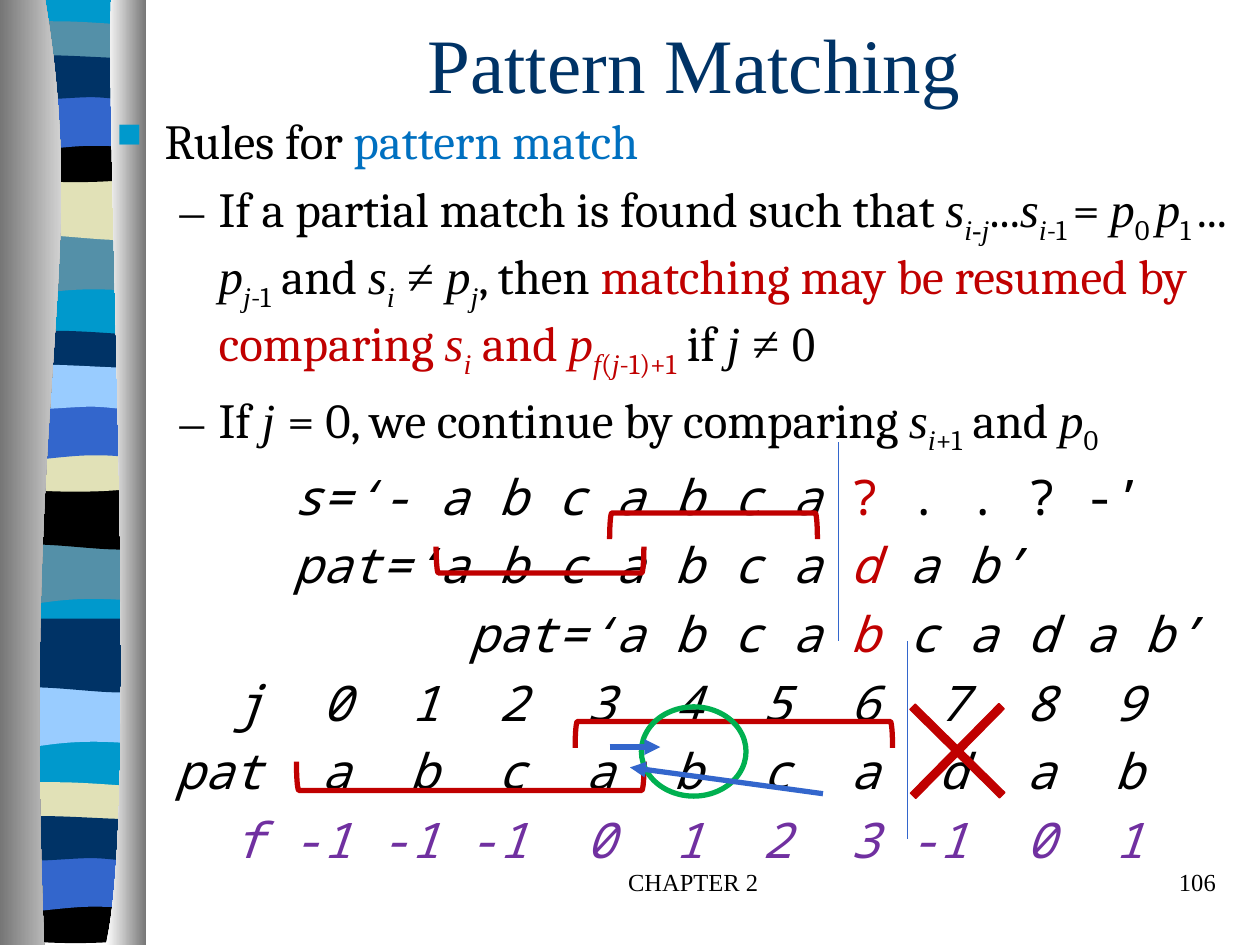
from lxml import etree
from pptx import Presentation
from pptx.dml.color import RGBColor
from pptx.enum.shapes import MSO_CONNECTOR, MSO_SHAPE
from pptx.enum.text import MSO_ANCHOR, PP_ALIGN
from pptx.oxml.ns import qn
from pptx.util import Cm, Pt

STRAIGHT = MSO_CONNECTOR.STRAIGHT
BRACKET, CROSS, OVAL = MSO_SHAPE.RIGHT_BRACKET, MSO_SHAPE.CROSS, MSO_SHAPE.OVAL
LEFT, CENTER, RIGHT = PP_ALIGN.LEFT, PP_ALIGN.CENTER, PP_ALIGN.RIGHT
TOP, MIDDLE = MSO_ANCHOR.TOP, MSO_ANCHOR.MIDDLE
SERIF, TIMES, MONO = "Cambria", "Times New Roman", "Noto Sans Mono"
COLORS = {name: RGBColor.from_string(value) for name, value in {
    "black": "000000", "white": "FFFFFF", "gray": "767676", "navy": "003366",
    "cyan": "0099CC", "steel": "5490A8", "sand": "E1E1B7", "blue": "3366CC",
    "sky": "99CCFF", "link": "0070C0", "red": "C00000", "violet": "7030A0",
    "green": "00B050"}.items()}
FLAG_COLORS = {"r": "red", "b": "link", "v": "violet"}


def outline(*edges, dy=0):
    """Add a closed freeform from edges in cm: two points are a straight edge,
    four or seven are chained cubic Beziers."""
    emu = [(Cm(x), Cm(y + dy)) for edge in edges for x, y in edge]
    builder = s.shapes.build_freeform(*emu[0], scale=1.0)
    builder.add_line_segments(emu[1:], close=True)
    sp = builder.convert_to_shape()
    sp.shadow.inherit = False
    sp.line.fill.background()
    steps = list(next(sp._element.iter(qn("a:path"))))
    first = 0
    for edge in edges:
        if len(edge) > 2:
            for k in range(first + 1, first + len(edge), 3):
                bezier = etree.Element(qn("a:cubicBezTo"))
                steps[k].addprevious(bezier)
                for step in steps[k:k + 3]:
                    bezier.append(step[0])
                    step.getparent().remove(step)
        first += len(edge)
    return sp


prs = Presentation()
prs.slide_width, prs.slide_height = Cm(25.4), Cm(19.05)
s = prs.slides.add_slide(prs.slide_layouts[6])

# Wavy ribbon: every band is repeated three times down the slide
L, R = 0.14, 2.88
flat = [(L, 0), (R, 0)]
sp = outline(flat, [(R, 18.98), (L, 18.98)])
sp.fill.solid()
sp.fill.fore_color.rgb = COLORS["cyan"]
UPPER, LOWER = (0, 6.24, 9.12), (0, 6.24, 15.34)
# top, offsets, colours, upper edge (left to right), lower edge (right to left)
bands = [
    (4.7, UPPER, ("steel", "steel", "sky"), flat,
     [(R, 1.19), (0.99, 0.99), (0.61, 1.4), (L, 1.19)]),
    (3.58, UPPER, ("sand", "black", "navy"), [(L, -0.23), (R, -0.23)],
     [(R, 1.19), (2.44, 1.4), (0.99, 1.05), (L, 1.19)]),
    (0.53, LOWER, ("steel", "navy", "sand"),
     [(L, 0), (0.3, -0.13), (0.74, -0.1), (1.19, -0.1), (1.65, -0.1), (2.54, -0.03), (R, 0)],
     [(R, 0.62), (2.44, 0.73), (0.61, 0.73), (L, 0.62)]),
    (2.74, LOWER, ("black", "sand", "black"),
     [(L, 0), (1.83, 0.13), (2.31, 0), (R, 0)],
     [(R, 0.82), (2.44, 0.97), (0.61, 0.97), (L, 0.82)]),
    (1.88, LOWER, ("blue", "blue", "blue"), flat,
     [(R, 1.19), (2.46, 1.06), (2.29, 1.06), (1.83, 1.06), (1.37, 1.06), (0.56, 1.19), (L, 1.19)]),
    (1.17, LOWER, ("navy", "sky", "navy"),
     [(L, 0), (0.53, -0.13), (2.01, 0), (2.46, 0), (2.92, 0), (2.79, 0), (R, 0)],
     [(R, 0.79), (2.7, 0.91), (2.29, 0.79), (1.83, 0.79), (1.37, 0.79), (0.43, 0.91), (L, 0.79)]),
]
for group in range(3):
    for top, offsets, names, upper, lower in bands:
        y = top + offsets[group]
        if y + 0.97 > 19.05:
            lower = [(R, 0.94), (L, 0.94)]
        sp = outline(upper, lower, dy=y)
        sp.fill.solid()
        sp.fill.fore_color.rgb = COLORS[names[group]]

pillars = [
    ([(0.91, 0), (1.83, 5.49), (0.43, 7.52), (0.89, 19.05)], 0, ("gray", "white")),
    ([(2.24, 0), (2.13, 3.18), (2.82, 16.41), (2.13, 19.05)], 2.95, ("white", "gray")),
]
for edge, side, names in pillars:
    sp = outline(edge, [(side, 19.05), (side, 0)])
    sp.fill.gradient()
    sp.fill.gradient_angle = 0
    for stop, name in zip(sp.fill.gradient_stops, names):
        stop.color.rgb = COLORS[name]

# Title, footer and page number
for text, x, y, w, h, size, color, align, anchor in [
        ("CHAPTER 2", 9.95, 17.35, 8.05, 1.27, 14, "black", CENTER, TOP),
        ("106", 19.48, 17.35, 5.28, 1.27, 14, "black", RIGHT, TOP),
        ("Pattern Matching", 3.2, -0.32, 21.59, 3.18, 44, "navy", CENTER, MIDDLE)]:
    tf = s.shapes.add_textbox(Cm(x), Cm(y), Cm(w), Cm(h)).text_frame
    tf.word_wrap, tf.vertical_anchor = True, anchor
    p = tf.paragraphs[0]
    p.alignment = align
    r = p.add_run()
    r.text = text
    r.font.size, r.font.name, r.font.color.rgb = Pt(size), TIMES, COLORS[color]

# Body. Run flags: t Times, m mono, i italic, _ subscript, r/b/v colour
square = [("buClr", {}), ("buSzPct", {"val": "70000"}),
          ("buFont", {"typeface": "Wingdings"}), ("buChar", {"char": "n"})]
dash = [("buFont", {"typeface": TIMES}), ("buChar", {"char": "–"})]
plain = [("buNone", {})]
# level, left margin, first-line indent, bullet, runs
body = [
    (0, 0.97, -0.97, square, [("Rules for ", ""), ("pattern match", "b")]),
    (1, 2.06, -0.79, dash, [
        ("If a partial match is found such that ", ""), ("s", "ti"), ("i-j", "ti_"),
        ("...", ""), ("s", "ti"), ("i", "ti_"), ("-1 ", "_"), ("= ", ""),
        ("p", "ti"), ("0 ", "_"), ("p", "ti"), ("1 ", "_"), ("... ", ""),
        ("p", "ti"), ("j", "ti_"), ("-1", "_"), (" and ", ""), ("s", "ti"),
        ("i", "ti_"), (" ≠ ", "t"), ("p", "ti"), ("j", "ti_"), (", then ", ""),
        ("matching may be resumed by comparing ", "r"), ("s", "tir"), ("i", "ti_r"),
        (" and ", "r"), ("p", "tir"), ("f", "ti_r"), ("(", "_r"), ("j", "ti_r"),
        ("-1)+1", "_r"), (" if ", ""), ("j", "ti"), (" ≠ 0", "t")]),
    (1, 2.06, -0.79, dash, [
        ("If ", ""), ("j ", "ti"), ("= 0, we continue by comparing ", ""),
        ("s", "ti"), ("i", "ti_"), ("+1", "_"), (" and ", ""), ("p", "ti"), ("0", "_")]),
    (0, 3.56, 0, plain, [("s=‘- a b c a b c a ", "mi"), ("?", "mr"), (" . . ? -’", "m")]),
    (0, 3.56, 0, plain, [("pat=‘a b c a b c a ", "mi"), ("d", "mir"), (" a b’", "mi")]),
    (0, 7.11, 0, plain, [("pat=‘a b c a ", "mi"), ("b", "mir"), (" c a d a b’", "mi")]),
]
# Failure function trace: monospaced columns three characters wide
f_values = "-1 -1 -1 0 1 2 3 -1 0 1".split()
for label, margin, cells, flags in [("j", 2.37, "0123456789", "mi"),
                                    ("pat", 1.18, "abcabcadab", "mi"),
                                    ("f", 2.37, f_values, "miv")]:
    row = label + "".join(f"{cell:>3}" for cell in cells)
    body.append((0, margin, 0, plain, [(row, flags)]))

tf = s.shapes.add_textbox(Cm(2.1), Cm(2.1), Cm(24), Cm(15.44)).text_frame
tf.word_wrap = True
for n, (level, margin, indent, bullet, runs) in enumerate(body):
    p = tf.add_paragraph() if n else tf.paragraphs[0]
    p.level, p.alignment = level, LEFT
    pPr = p._p.get_or_add_pPr()
    pPr.set("marL", str(Cm(margin)))
    pPr.set("indent", str(Cm(indent)))
    for tag, attributes in bullet:
        el = etree.SubElement(pPr, qn("a:" + tag), attributes)
        if tag == "buClr":
            etree.SubElement(el, qn("a:srgbClr"), val=str(COLORS["cyan"]))
    if n:
        p.space_before = Pt(5.6)
    for text, flags in runs:
        r = p.add_run()
        r.text = text
        r.font.size = Pt(28)
        r.font.name = TIMES if "t" in flags else MONO if "m" in flags else SERIF
        r.font.italic = "i" in flags
        color = next((FLAG_COLORS[c] for c in flags if c in FLAG_COLORS), "black")
        r.font.color.rgb = COLORS[color]
        if "_" in flags:
            r._r.get_or_add_rPr().set("baseline", "-25000")

# Match brackets, mismatch cross and highlight ring
for kind, x, y, w, h, turn, color, width in [
        (BRACKET, 10.62, 9.19, 0.53, 4.19, 90, "red", 3),
        (BRACKET, 14.12, 8.51, 0.53, 4.19, 270, "red", 3),
        (BRACKET, 9.19, 12.14, 0.58, 7.01, 90, "red", 3),
        (BRACKET, 14.53, 11.61, 0.53, 6.4, 270, "red", 3),
        (CROSS, 18.03, 13.87, 2.54, 2.54, 44.6, "red", 0.75),
        (OVAL, 12.93, 14.25, 2.11, 1.8, 0, "green", 3)]:
    sp = s.shapes.add_shape(kind, Cm(x), Cm(y), Cm(w), Cm(h))
    sp.shadow.inherit = False
    sp.rotation = turn
    sp.line.color.rgb, sp.line.width = COLORS[color], Pt(width)
    if kind == CROSS:
        sp.adjustments[0] = 0.47
        sp.fill.solid()
        sp.fill.fore_color.rgb = COLORS[color]
    else:
        sp.fill.background()

# Position markers and arrows
for x1, y1, x2, y2, width, arrow in [
        (16.9, 8.92, 16.9, 12.93, 0.75, False), (18.29, 12.93, 18.29, 16.92, 0.75, False),
        (16.59, 16, 12.7, 15.47, 3, True), (12.29, 15.06, 13.31, 15.06, 3, True)]:
    cx = s.shapes.add_connector(STRAIGHT, Cm(x1), Cm(y1), Cm(x2), Cm(y2))
    cx.line.color.rgb, cx.line.width = COLORS["blue"], Pt(width)
    if arrow:
        etree.SubElement(cx.line._get_or_add_ln(), qn("a:tailEnd"), type="triangle")
    etree.SubElement(cx._element.spPr, qn("a:effectLst"))

prs.save("out.pptx")
